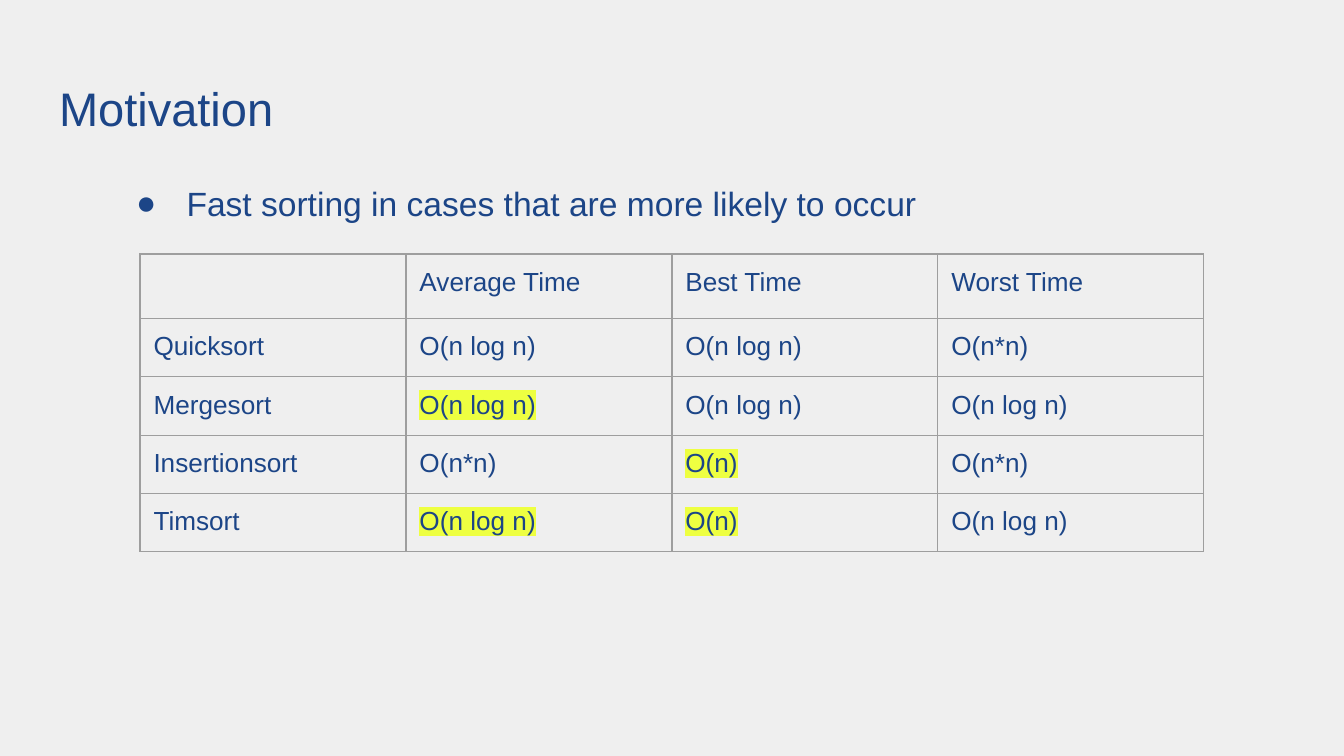
import pptx
import pptx.dml.color
import pptx.enum.text
import pptx.oxml
import pptx.oxml.ns
import pptx.util

NAVY = pptx.dml.color.RGBColor(0x1C, 0x45, 0x87)
PALE = pptx.dml.color.RGBColor(0xEF, 0xEF, 0xEF)
GREY = pptx.dml.color.RGBColor(0x9E, 0x9E, 0x9E)
YELLOW = pptx.dml.color.RGBColor(0xEE, 0xFF, 0x41)
A_NS = pptx.oxml.ns.nsdecls("a")

# The slide is a grid of square units, 100 columns wide.
UNIT = pptx.util.Inches(0.1)
COLUMNS, ROWS = 100, 56.25


def grid(*counts):
    return [round(count * UNIT) for count in counts]


def write(frame, text, size=14, highlight=None, anchor=pptx.enum.text.MSO_ANCHOR.TOP):
    """Fill a text frame with one formatted paragraph and return the paragraph."""
    frame.word_wrap = True
    frame.vertical_anchor = anchor
    frame.margin_left = frame.margin_right = frame.margin_top = frame.margin_bottom = UNIT
    paragraph = frame.paragraphs[0]
    run = paragraph.add_run()
    run.text = text
    run.font.size = pptx.util.Pt(size)
    run.font.color.rgb = NAVY
    if highlight is not None:
        run.font._element.append(pptx.oxml.parse_xml(
            f'<a:highlight {A_NS}><a:srgbClr val="{highlight}"/></a:highlight>'))
    run.font.name = "Arial"
    return paragraph


deck = pptx.Presentation()
deck.slide_width, deck.slide_height = grid(COLUMNS, ROWS)
slide = deck.slides.add_slide(deck.slide_layouts[6])
slide.background.fill.solid()
slide.background.fill.fore_color.rgb = PALE

title = slide.shapes.add_textbox(*grid(3.41, 4.9, 93.2, 6.3))
write(title.text_frame, "Motivation", size=25.2, anchor=pptx.enum.text.MSO_ANCHOR.MIDDLE)

goal = slide.shapes.add_textbox(*grid(7.9, 11.1, 84.3, 14.6))
goal_line = write(goal.text_frame, "Fast sorting in cases that are more likely to occur", size=18)
goal_line.line_spacing = 1.5
indent = goal_line._p.get_or_add_pPr()
indent.set("marL", str(round(5 * UNIT)))
indent.set("indent", str(round(-3.75 * UNIT)))
for bullet_part in (
    f'<a:buClr {A_NS}><a:srgbClr val="{NAVY}"/></a:buClr>',
    f'<a:buSzPts {A_NS} val="1800"/>',
    f'<a:buFont {A_NS} typeface="Arial"/>',
    f'<a:buChar {A_NS} char="●"/>',
):
    indent.append(pptx.oxml.parse_xml(bullet_part))

# A leading * marks a highlighted running time.
runtimes = [
    ["", "Average Time", "Best Time", "Worst Time"],
    ["Quicksort", "O(n log n)", "O(n log n)", "O(n*n)"],
    ["Mergesort", "*O(n log n)", "O(n log n)", "O(n log n)"],
    ["Insertionsort", "O(n*n)", "*O(n)", "O(n*n)"],
    ["Timsort", "*O(n log n)", "*O(n)", "O(n log n)"],
]
column_width, header_height, row_height = grid(19.79, 4.8, 4.2)
left, top = grid(10.42, 18.9)
comparison = slide.shapes.add_table(
    len(runtimes), len(runtimes[0]), left, top,
    column_width * len(runtimes[0]),
    header_height + row_height * (len(runtimes) - 1)).table
comparison.first_row = comparison.horz_banding = False
for column in comparison.columns:
    column.width = column_width
for row_index, entries in enumerate(runtimes):
    comparison.rows[row_index].height = row_height if row_index else header_height
    for column_index, entry in enumerate(entries):
        cell = comparison.cell(row_index, column_index)
        cell.margin_left = cell.margin_right = cell.margin_top = cell.margin_bottom = UNIT
        if entry:
            write(cell.text_frame, entry.removeprefix("*"),
                  highlight=YELLOW if entry.startswith("*") else None)
        else:
            # Keeps the empty corner cell from stretching the header row.
            cell.text_frame.paragraphs[0]._p.append(pptx.oxml.parse_xml(
                f'<a:endParaRPr {A_NS} sz="1400"><a:latin typeface="Arial"/></a:endParaRPr>'))
        borders = cell._tc.get_or_add_tcPr()
        for side in ("lnL", "lnR", "lnT", "lnB"):
            borders.append(pptx.oxml.parse_xml(
                f'<a:{side} {A_NS} w="{pptx.util.Pt(0.75)}"><a:solidFill>'
                f'<a:srgbClr val="{GREY}"/></a:solidFill></a:{side}>'))
        cell.fill.background()

deck.save("out.pptx")
